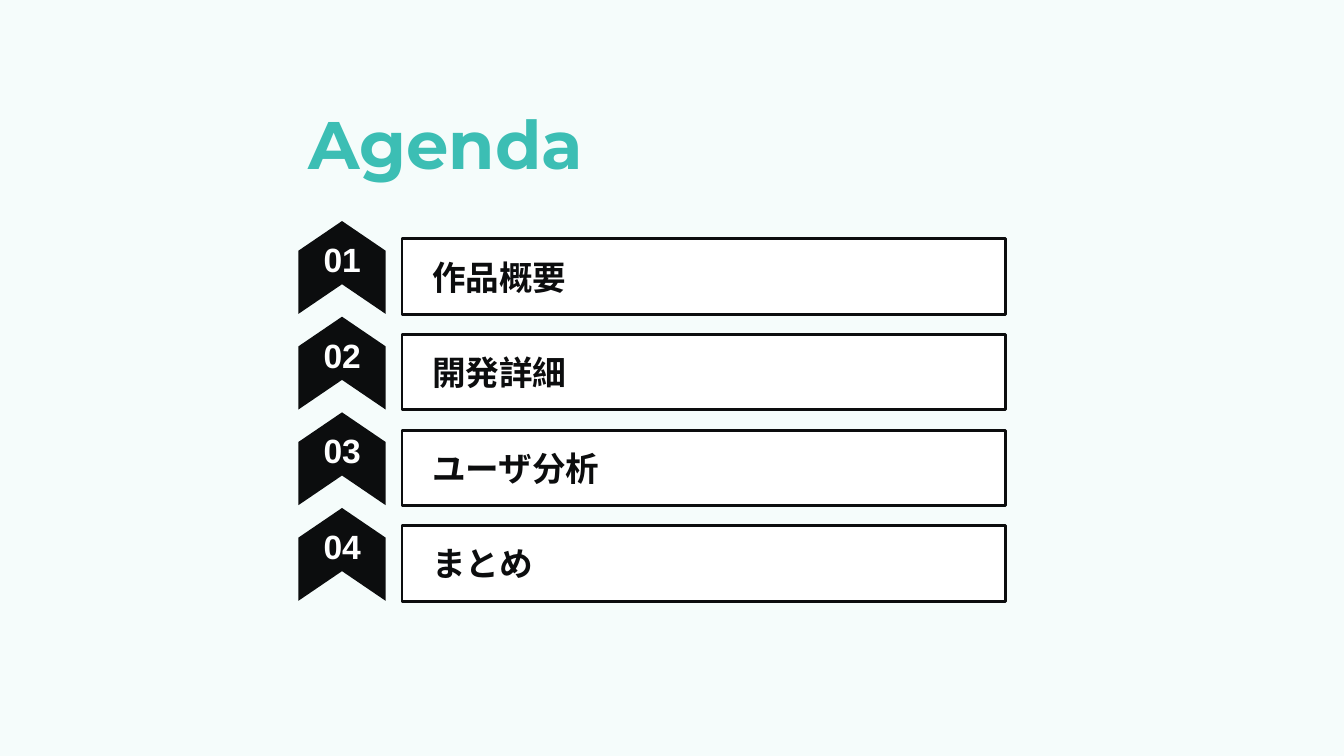
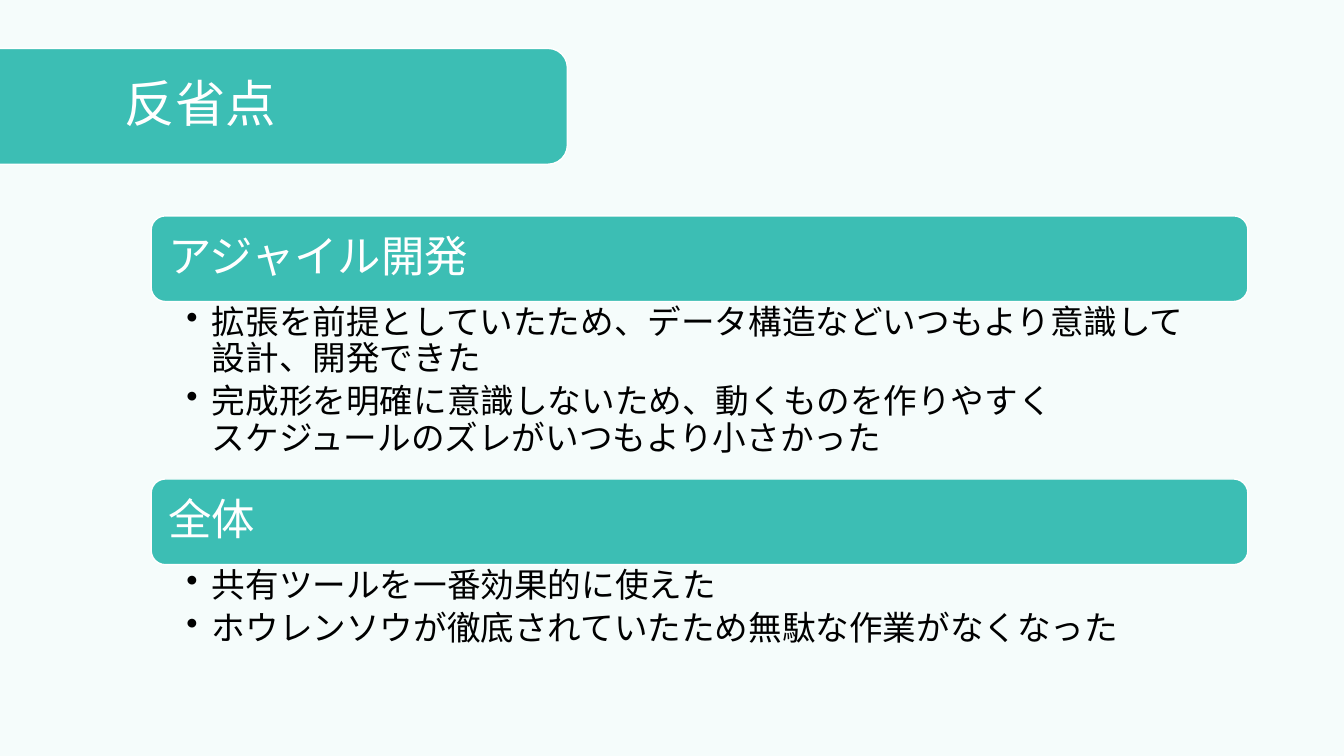
from lxml import etree
from pptx import Presentation
from pptx.dml.color import RGBColor
from pptx.enum.shapes import MSO_SHAPE
from pptx.enum.text import MSO_ANCHOR, PP_ALIGN
from pptx.oxml.ns import qn
from pptx.util import Cm, Pt

RECT, ROUND, CHEVRON = MSO_SHAPE.RECTANGLE, MSO_SHAPE.ROUNDED_RECTANGLE, MSO_SHAPE.CHEVRON
TOP, MIDDLE = MSO_ANCHOR.TOP, MSO_ANCHOR.MIDDLE
LEFT, CENTER = PP_ALIGN.LEFT, PP_ALIGN.CENTER
TEAL, PALE, INK, WHITE, BLACK = "3CBEB4", "F5FCFB", "0C0D0E", "FFFFFF", "000000"
LATIN, KANJI, DIGIT = "Montserrat", "Noto Sans CJK JP", "Arial"
rgb = RGBColor.from_string


def draw(slide, kind, x, y, w, h, fill, line=None, width=1):
    """Add a flat preset shape, in centimetres."""
    shape = slide.shapes.add_shape(kind, Cm(x), Cm(y), Cm(w), Cm(h))
    shape.shadow.inherit = False
    shape.fill.solid()
    shape.fill.fore_color.rgb = rgb(fill)
    if line:
        shape.line.color.rgb = rgb(line)
        shape.line.width = Pt(width)
    else:
        shape.line.fill.background()
    return shape


def write(shape, lines, size, color, font=LATIN, bold=False, align=LEFT,
          anchor=MIDDLE, pad=(0.25, 0.13), space=None):
    """Fill a shape with paragraphs; pad is the side and top inset."""
    frame = shape.text_frame
    frame.word_wrap = True
    frame.vertical_anchor = anchor
    frame.margin_left, frame.margin_right = Cm(pad[0]), Cm(0.25)
    frame.margin_top = frame.margin_bottom = Cm(pad[1])
    for i, line in enumerate(lines):
        para = frame.paragraphs[0] if i == 0 else frame.add_paragraph()
        para.text = line
        para.alignment = align
        para.line_spacing = space
        para.font.name, para.font.size, para.font.bold = font, Pt(size), bold
        para.font.color.rgb = rgb(color)
        base = para._p.pPr.find(qn("a:defRPr"))
        etree.SubElement(base, qn("a:ea"), typeface=KANJI)
    return frame.paragraphs


deck = Presentation()
deck.slide_width, deck.slide_height = Cm(33.87), Cm(19.05)
agenda, review = [deck.slides.add_slide(deck.slide_layouts[6]) for _ in range(2)]
for slide in (agenda, review):
    slide.background.fill.solid()
    slide.background.fill.fore_color.rgb = rgb(PALE)

# Agenda: title
title = agenda.shapes.add_textbox(Cm(7.52), Cm(2.36), Cm(19.3), Cm(2.46))
write(title, ["Agenda"], 48, TEAL, bold=True)

# Agenda: numbered rows
for i, topic in enumerate(["作品概要", "開発詳細", "ユーザ分析", "まとめ"]):
    y = 6.02 + i * 2.41
    row = draw(agenda, RECT, 10.13, y, 15.21, 1.9, WHITE, INK, 2)
    write(row, [topic], 24, INK, KANJI, True, pad=(0.76, 0.13))
    arrow = draw(agenda, CHEVRON, 7.45, y - 0.38, 2.34, 2.2, INK)
    arrow.rotation = 270
    arrow.adjustments[0] = 0.34
    label = agenda.shapes.add_textbox(Cm(7.85), Cm(y - 0.13), Cm(1.55), Cm(1.28))
    write(label, [f"{i + 1:02}"], 24, WHITE, DIGIT, True, CENTER, TOP)

# Review: title band
band = draw(review, ROUND, -0.76, 1.22, 15.06, 2.92, TEAL, WHITE)
write(band, ["反省点"], 36, WHITE, pad=(3.76, 0.38), space=0.9)

# Review: headings with bullets
parts = [
    (5.44, 4.45, "アジャイル開発", [
        "拡張を前提としていたため、データ構造などいつもより意識して\n設計、開発できた",
        "完成形を明確に意識しないため、動くものを作りやすく\nスケジュールのズレがいつもより小さかった"]),
    (12.07, 3.66, "全体", [
        "共有ツールを一番効果的に使えた",
        "ホウレンソウが徹底されていたため無駄な作業がなくなった"]),
]
for y, tall, head, points in parts:
    bar = draw(review, ROUND, 3.81, y, 27.64, 2.16, TEAL, WHITE)
    write(bar, [head], 31, WHITE, pad=(0.33, 0.33), space=0.9)
    body = review.shapes.add_textbox(Cm(3.81), Cm(y + 2.16), Cm(27.64), Cm(tall))
    for para in write(body, points, 24, BLACK, anchor=TOP, pad=(0.89, 0.1), space=0.9):
        para.space_after = Pt(4.8)
        props = para._p.pPr
        props.set("marL", str(Cm(0.64)))
        props.set("indent", str(Cm(-0.64)))
        mark = etree.Element(qn("a:buChar"), char="•")
        props.find(qn("a:defRPr")).addprevious(mark)

deck.save("out.pptx")
